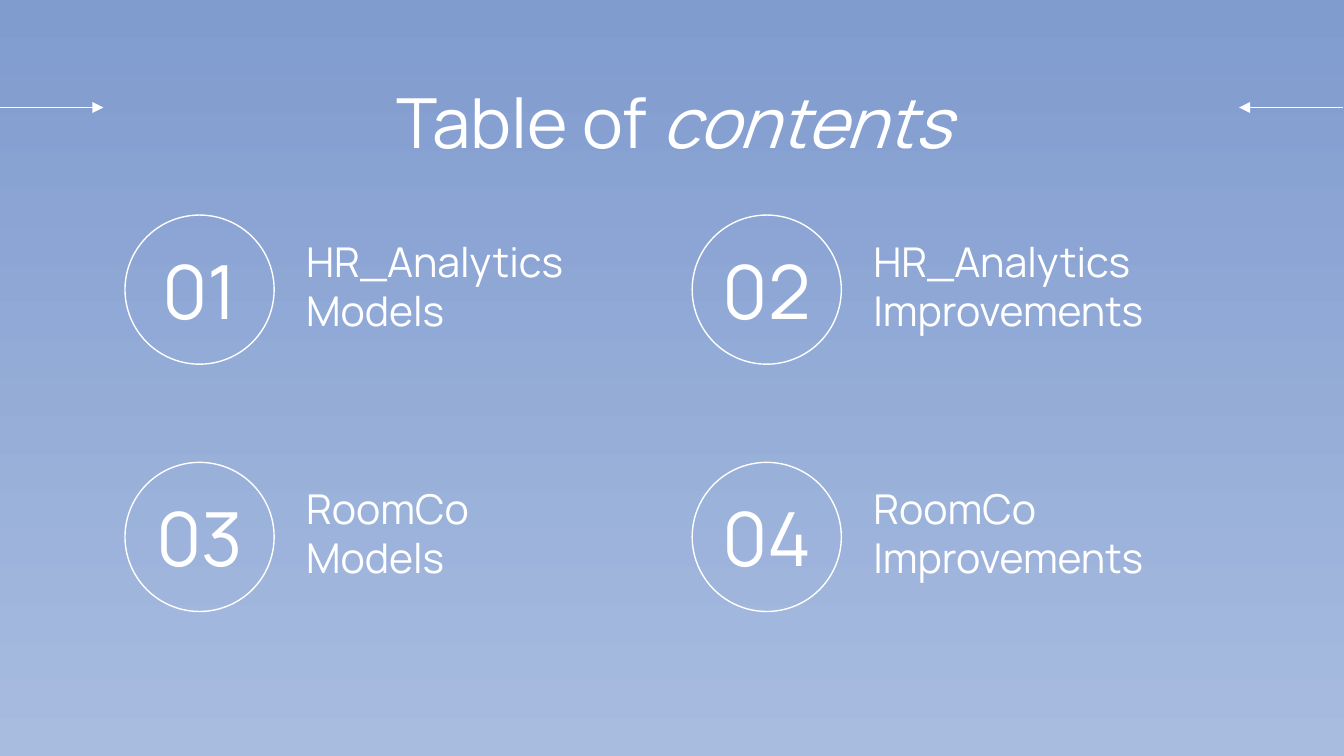
"""Build a table of contents slide with four numbered sections."""
from dataclasses import dataclass

from lxml.etree import SubElement
from pptx import Presentation
from pptx.dml.color import RGBColor
from pptx.enum.shapes import MSO_CONNECTOR, MSO_SHAPE
from pptx.enum.text import MSO_ANCHOR, MSO_AUTO_SIZE, PP_ALIGN
from pptx.oxml.ns import qn
from pptx.slide import Slide
from pptx.text.text import TextFrame
from pptx.util import Inches, Pt

WHITE = RGBColor(0xFF, 0xFF, 0xFF)
SKY_TOP = RGBColor(0x80, 0x9B, 0xCE)
SKY_BOTTOM = RGBColor(0xA8, 0xBC, 0xE0)
FONT = "Manrope"
COLUMNS = (0.93, 5.15)
ROWS = (1.6, 3.44)
DIAMETER = 1.11


@dataclass
class Section:
    number: str
    lines: tuple[str, ...]


@dataclass
class Arrow:
    start: float
    end: float


SECTIONS = [
    Section("01", ("HR_Analytics Models",)),
    Section("02", ("HR_Analytics Improvements",)),
    Section("03", ("RoomCo", "Models")),
    Section("04", ("RoomCo", "Improvements")),
]
ARROWS = [Arrow(0, 0.77), Arrow(9.99, 9.22)]


def format_text(tf: TextFrame, size: float, align: PP_ALIGN, anchor: MSO_ANCHOR) -> None:
    tf.word_wrap = True
    tf.auto_size = MSO_AUTO_SIZE.NONE
    tf.vertical_anchor = anchor
    tf.margin_left = tf.margin_right = tf.margin_top = tf.margin_bottom = Inches(0.1)
    for p in tf.paragraphs:
        p.alignment = align
        p.font.name = FONT
        p.font.size = Pt(size)
        p.font.color.rgb = WHITE


def add_text(s: Slide, left: float, top: float, width: float, height: float,
             text: str, size: float, align: PP_ALIGN, anchor: MSO_ANCHOR) -> None:
    box = s.shapes.add_textbox(Inches(left), Inches(top), Inches(width), Inches(height))
    box.text_frame.text = text
    format_text(box.text_frame, size, align, anchor)


def add_arrow(s: Slide, arrow: Arrow) -> None:
    y = Inches(0.8)
    line = s.shapes.add_connector(
        MSO_CONNECTOR.STRAIGHT, Inches(arrow.start), y, Inches(arrow.end), y)
    line.line.color.rgb = WHITE
    line.line.width = Pt(0.75)
    SubElement(line.line._get_or_add_ln(), qn("a:tailEnd"), type="triangle")
    SubElement(line._element.spPr, qn("a:effectLst"))


def add_section(s: Slide, section: Section, left: float, top: float) -> None:
    sp = s.shapes.add_shape(MSO_SHAPE.OVAL, Inches(left), Inches(top),
                            Inches(DIAMETER), Inches(DIAMETER))
    sp.shadow.inherit = False
    sp.fill.background()
    sp.line.color.rgb = WHITE
    sp.line.width = Pt(0.75)
    add_text(s, left + 0.08, top, 0.95, DIAMETER, section.number, 40,
             PP_ALIGN.CENTER, MSO_ANCHOR.MIDDLE)
    add_text(s, left + 1.25, top + 0.12, 2.66, 0.87, "\n".join(section.lines), 22,
             PP_ALIGN.LEFT, MSO_ANCHOR.BOTTOM)


def add_title(s: Slide) -> None:
    sp = s.shapes.title
    sp.left, sp.top = Inches(0.79), Inches(0.49)
    sp.width, sp.height = Inches(8.44), Inches(0.63)
    p = sp.text_frame.paragraphs[0]
    p.add_run().text = "Table of"
    r = p.add_run()
    r.text = " contents"
    r.font.italic = True
    format_text(sp.text_frame, 37, PP_ALIGN.CENTER, MSO_ANCHOR.TOP)


def set_background(s: Slide) -> None:
    fill = s.background.fill
    fill.gradient()
    fill.gradient_angle = 270
    for stop, color in zip(fill.gradient_stops, (SKY_TOP, SKY_BOTTOM)):
        stop.color.rgb = color


def main() -> None:
    prs = Presentation()
    prs.slide_width = Inches(10)
    prs.slide_height = prs.slide_width * 9 // 16
    s = prs.slides.add_slide(prs.slide_layouts[5])
    set_background(s)
    add_title(s)
    for arrow in ARROWS:
        add_arrow(s, arrow)
    places = [(left, top) for top in ROWS for left in COLUMNS]
    for section, (left, top) in zip(SECTIONS, places):
        add_section(s, section, left, top)
    prs.save("out.pptx")


if __name__ == "__main__":
    main()
